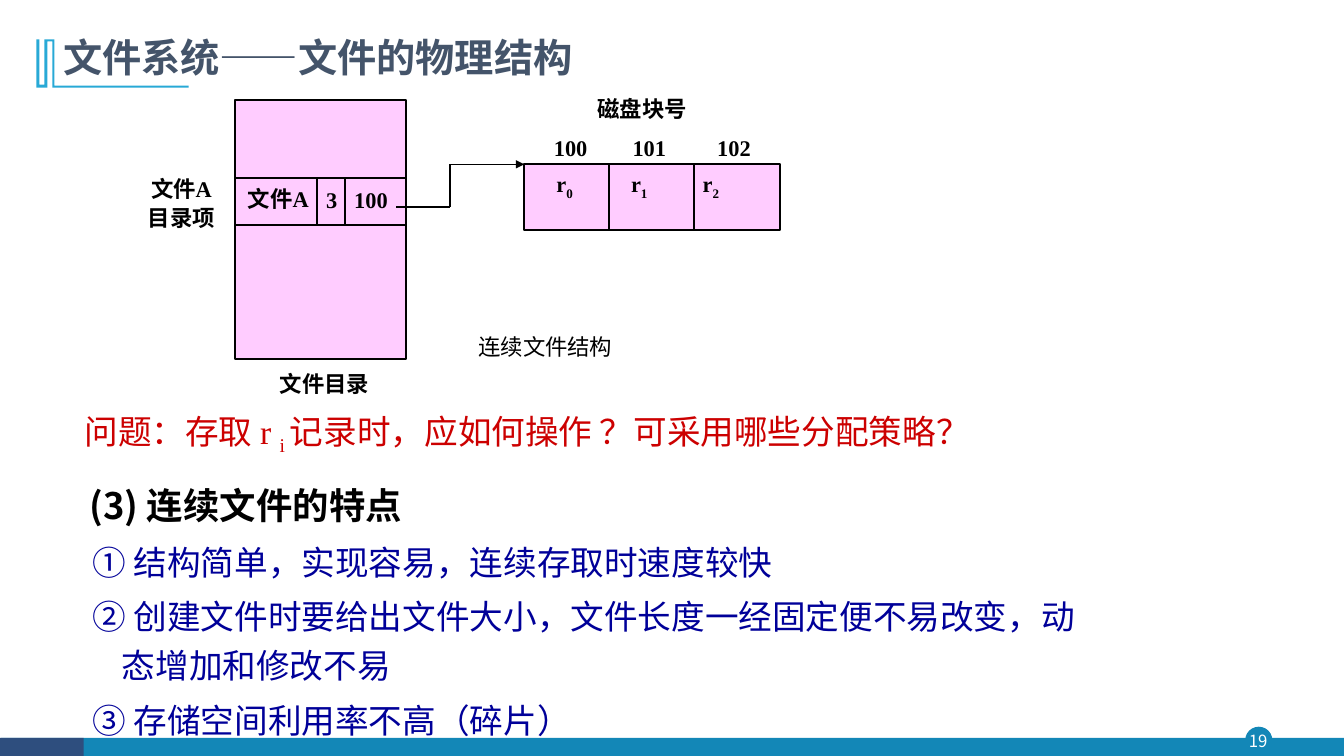
import pptx
import pptx.util
from pptx.dml.color import RGBColor
from pptx.enum.shapes import MSO_CONNECTOR, MSO_SHAPE
from pptx.enum.text import MSO_ANCHOR, PP_ALIGN
from pptx.oxml.ns import qn
from lxml import etree

Pt = pptx.util.Pt
BLACK = RGBColor(0x00, 0x00, 0x00)
WHITE = RGBColor(0xFF, 0xFF, 0xFF)
PINK = RGBColor(0xFF, 0xCC, 0xFF)
TEAL = RGBColor(0x13, 0x87, 0xB7)
NAVY = RGBColor(0x2E, 0x4E, 0x7E)
SKY = RGBColor(0x28, 0xA9, 0xD6)
SLATE = RGBColor(0x44, 0x54, 0x6A)
RED = RGBColor(0xCC, 0x00, 0x00)
BLUE = RGBColor(0x00, 0x00, 0x99)
SANS, SERIF = "Noto Sans CJK SC", "Times New Roman"

prs = pptx.Presentation()
prs.slide_width, prs.slide_height = pptx.util.Inches(13.33), pptx.util.Inches(7.5)
s = prs.slides.add_slide(prs.slide_layouts[6])

# The slide is a grid of 1333 columns by 750 rows
COL, ROW = prs.slide_width // 1333, prs.slide_height // 750


def grid(*cells):
    """Turn alternating columns and rows into lengths."""
    return [round(n * (ROW if i % 2 else COL)) for i, n in enumerate(cells)]


def write(p, text, **font):
    """Fill a paragraph; underscores switch subscript on and off."""
    for i, part in enumerate(text.split("_")):
        r = p.add_run()
        r.text = part
        color = font.get("color", BLACK)
        for name, value in {"size": Pt(16), "bold": True, "name": SERIF, **font}.items():
            if name != "color":
                setattr(r.font, name, value)
        r.font.color.rgb = color
        rPr = r._r.get_or_add_rPr()
        etree.SubElement(rPr, qn("a:ea")).set("typeface", SANS)
        if i % 2:
            rPr.set("baseline", "-25000")


# Footer and the two diagram boxes
DIR_X, DIR_Y, DIR_W, DIR_H = 233, 99, 170, 257
DISK_X, DISK_Y, DISK_W, DISK_H = 520, 163, 254, 65
for kind, cells, fill, line in (
    (MSO_SHAPE.OVAL, (1235, 721, 27, 27), TEAL, None),
    (MSO_SHAPE.RECTANGLE, (1, 732, 1332, 18), TEAL, None),
    (MSO_SHAPE.RECTANGLE, (0, 732, 83, 18), NAVY, None),
    (MSO_SHAPE.RECTANGLE, (DIR_X, DIR_Y, DIR_W, DIR_H), PINK, BLACK),
    (MSO_SHAPE.RECTANGLE, (DISK_X, DISK_Y, DISK_W, DISK_H), PINK, BLACK),
):
    sp = s.shapes.add_shape(kind, *grid(*cells))
    sp.shadow.inherit = False
    sp.fill.solid()
    sp.fill.fore_color.rgb = fill
    if line is None:
        sp.line.fill.background()
    else:
        sp.line.color.rgb = line
        sp.line.width = Pt(1.5)

# Title ornament
outline = [(54, 39), (54, 85), (187, 85), (187, 87), (52, 87), (52, 41), (47, 41), (47, 87),
           (36, 87), (36, 39), (39, 39), (39, 84), (44, 84), (44, 39)]
ff = s.shapes.build_freeform(*outline[0], scale=(COL, ROW))
ff.add_line_segments(outline[1:], close=True)
sp = ff.convert_to_shape()
sp.shadow.inherit = False
sp.fill.solid()
sp.fill.fore_color.rgb = SKY
sp.line.fill.background()

# Dividers, then the pointer from the directory entry to the disk blocks
ENTRY_TOP, ENTRY_BOTTOM, BEND_X, BEND_Y = 177, 223, 446, 205
lines = [(DIR_X, y, DIR_X + DIR_W, y) for y in (ENTRY_TOP, ENTRY_BOTTOM)]
lines += [(x, ENTRY_TOP, x, ENTRY_BOTTOM) for x in (314, 342)]
lines += [(DISK_X + 84 * i, DISK_Y, DISK_X + 84 * i, DISK_Y + DISK_H) for i in (1, 2)]
lines += [(393, BEND_Y, BEND_X, BEND_Y), (BEND_X, BEND_Y, BEND_X, DISK_Y)]
pointer = (BEND_X, DISK_Y, DISK_X, DISK_Y)
for ends in lines + [pointer]:
    c = s.shapes.add_connector(MSO_CONNECTOR.STRAIGHT, *grid(*ends))
    c.line.color.rgb = BLACK
    c.line.width = Pt(1 if ends == pointer else 1.5)
    if ends == pointer:
        etree.SubElement(c.line._get_or_add_ln(), qn("a:tailEnd")).set("type", "triangle")
    etree.SubElement(c._element.spPr, qn("a:effectLst"))

# Short labels, each centred on a grid point
LABEL_W, LABEL_H = 150, 60
labels = [
    (637, 108, "磁盘块号", {}),
    (566, 146, "100", {}),
    (644, 146, "101", {}),
    (728, 146, "102", {}),
    (322, 381, "文件目录", {}),
    (180, 200, "文件A\n目录项", {}),
    (276, 197, "文件A", {}),
    (329, 198, "3", {}),
    (368, 198, "100", {}),
    (560, 184, "r_0", {}),
    (634, 184, "r_1", {}),
    (705, 184, "r_2", {}),
    (541, 344, "连续文件结构", {"bold": False}),
    (1248, 735, "19", {"size": Pt(12), "name": SANS, "bold": False, "color": WHITE}),
]
for x, y, text, font in labels:
    tf = s.shapes.add_textbox(*grid(x - LABEL_W / 2, y - LABEL_H / 2, LABEL_W, LABEL_H)).text_frame
    tf.margin_left = tf.margin_right = tf.margin_top = tf.margin_bottom = 0
    tf.word_wrap = True
    tf.vertical_anchor = MSO_ANCHOR.MIDDLE
    rows = text.split("\n")
    for i, row in enumerate(rows):
        p = tf.add_paragraph() if i else tf.paragraphs[0]
        p.alignment = PP_ALIGN.CENTER
        if len(rows) > 1:
            p.line_spacing = Pt(20.7)
        write(p, row, **font)

# Running text: paragraphs of (text, left margin, first indent, line spacing, font)
title = {"size": Pt(28), "name": SANS, "color": SLATE}
question = {"size": Pt(24), "bold": False, "color": RED}
heading = {"size": Pt(26), "name": SANS}
item = {"size": Pt(24), "name": SANS, "bold": False, "color": BLUE}
features = [
    "① 结构简单，实现容易，连续存取时速度较快",
    "② 创建文件时要给出文件大小，文件长度一经固定便不易改变，动态增加和修改不易",
    "③ 存储空间利用率不高（碎片）",
]
blocks = [
    ((53, 31, 1049, 56), MSO_ANCHOR.MIDDLE,
     [("文件系统——文件的物理结构", 0, 0, 0.9, title)]),
    ((62, 396, 940, 59), MSO_ANCHOR.TOP,
     [("问题：存取 r _i _记录时，应如何操作 ？可采用哪些分配策略？", 12, 0, Pt(37.5), question)]),
    ((53, 450, 1049, 294), MSO_ANCHOR.TOP,
     [("(3) 连续文件的特点", 26, 0, Pt(49), heading)]
     + [(text, 58, -29, Pt(35), item) for text in features]),
]
for cells, anchor, paragraphs in blocks:
    tf = s.shapes.add_textbox(*grid(*cells)).text_frame
    tf.word_wrap = True
    tf.vertical_anchor = anchor
    for i, (text, margin, indent, spacing, font) in enumerate(paragraphs):
        p = tf.add_paragraph() if i else tf.paragraphs[0]
        p.line_spacing = spacing
        if i:
            p.space_before = Pt(4)
        pPr = p._p.get_or_add_pPr()
        pPr.set("marL", str(margin * COL))
        pPr.set("indent", str(indent * COL))
        write(p, text, **font)

prs.save("out.pptx")
